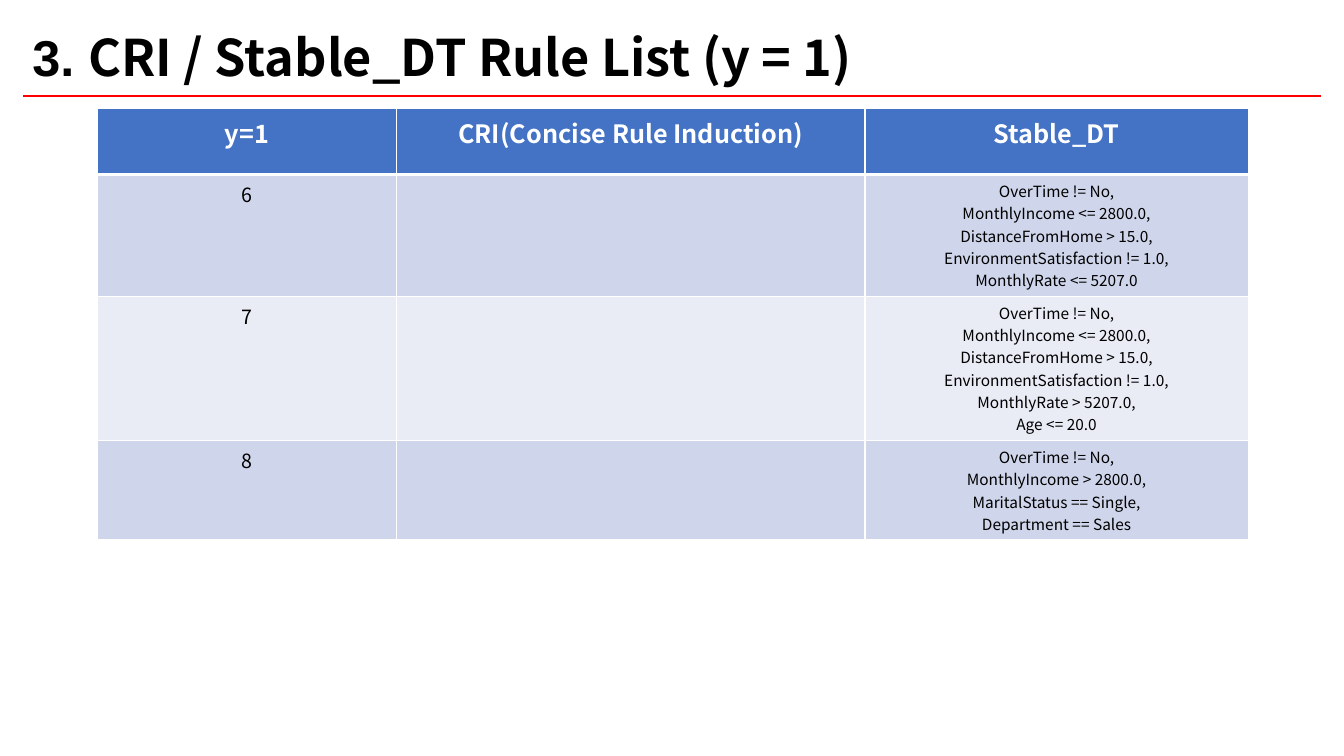
from lxml import etree
from pptx import Presentation
from pptx.dml.color import RGBColor
from pptx.enum.text import MSO_ANCHOR, PP_ALIGN
from pptx.oxml.ns import qn
from pptx.util import Inches, Pt

CENTER = PP_ALIGN.CENTER
MIDDLE = MSO_ANCHOR.MIDDLE
BLANK_LAYOUT = 6
BODY_FONT = "Noto Sans CJK KR"
NUMBER_FONT = "Arial"
COLORS = {
    "black": "000000",
    "white": "FFFFFF",
    "red": "FF0000",
    "header": "4472C4",
    "odd_row": "CFD5EA",
    "even_row": "E9EBF5",
}
TITLE_PARTS = [
    ("3. ", NUMBER_FONT),
    ("CRI / Stable_DT Rule List (y = 1)", BODY_FONT),
]
HEADERS = ["y=1", "CRI(Concise Rule Induction)", "Stable_DT"]
LOW_INCOME_RULE = [
    "OverTime != No,",
    "MonthlyIncome <= 2800.0,",
    "DistanceFromHome > 15.0,",
    "EnvironmentSatisfaction != 1.0,",
]
STABLE_RULES = {
    "6": LOW_INCOME_RULE + ["MonthlyRate <= 5207.0"],
    "7": LOW_INCOME_RULE + ["MonthlyRate > 5207.0,", "Age <= 20.0"],
    "8": [
        "OverTime != No,",
        "MonthlyIncome > 2800.0,",
        "MaritalStatus == Single,",
        "Department == Sales",
    ],
}


def style_run(run, size, color, bold=False, font=BODY_FONT):
    run.font.name = font
    run.font.size = Pt(size)
    run.font.bold = bold
    run.font.color.rgb = RGBColor.from_string(COLORS[color])


def set_borders(cell, borders):
    properties = cell._tc.get_or_add_tcPr()
    for side in "LRTB":
        if side in borders:
            color, width = borders[side]
            line = etree.SubElement(properties, qn(f"a:ln{side}"), w=str(Pt(width)))
            fill = etree.SubElement(line, qn("a:solidFill"))
            etree.SubElement(fill, qn("a:srgbClr"), val=COLORS[color])


def add_table(slide, left, top, column_widths, row_heights):
    frame = slide.shapes.add_table(
        len(row_heights), len(column_widths), Inches(left), Inches(top),
        Inches(sum(column_widths)), Inches(sum(row_heights)))
    table = frame.table
    for column, width in zip(table.columns, column_widths):
        column.width = Inches(width)
    for row, height in zip(table.rows, row_heights):
        row.height = Inches(height)
    return table


def add_title(slide):
    table = add_table(slide, 0.22, 0.13, [12.89], [0.82])
    table.first_row = False
    table.horz_banding = False
    cell = table.cell(0, 0)
    set_borders(cell, {"B": ("red", 2.25)})
    cell.fill.background()
    cell.vertical_anchor = MIDDLE
    paragraph = cell.text_frame.paragraphs[0]
    for text, font in TITLE_PARTS:
        run = paragraph.add_run()
        run.text = text
        style_run(run, 36, "black", True, font)


def fill_cell(cell, text, fill, size, color="black", bold=False, bottom_width=1):
    borders = dict.fromkeys("LRT", ("white", 1))
    borders["B"] = ("white", bottom_width)
    set_borders(cell, borders)
    cell.fill.solid()
    cell.fill.fore_color.rgb = RGBColor.from_string(COLORS[fill])
    cell.text_frame.text = text
    for paragraph in cell.text_frame.paragraphs:
        paragraph.alignment = CENTER
        for run in paragraph.runs:
            style_run(run, size, color, bold)


def add_rule_table(slide):
    row_heights = [0.65] * (len(STABLE_RULES) + 1)
    table = add_table(slide, 0.97, 1.08, [2.96, 4.65, 3.8], row_heights)
    for column, header in enumerate(HEADERS):
        fill_cell(table.cell(0, column), header, "header", 18, "white", True, 3)
    for row, (number, conditions) in enumerate(STABLE_RULES.items(), 1):
        fill = "odd_row" if row % 2 else "even_row"
        fill_cell(table.cell(row, 0), number, fill, 14)
        fill_cell(table.cell(row, 1), "", fill, 14)
        fill_cell(table.cell(row, 2), "\n".join(conditions), fill, 11)


def main():
    presentation = Presentation()
    presentation.slide_width = Inches(13.33)
    presentation.slide_height = Inches(7.5)
    slide = presentation.slides.add_slide(presentation.slide_layouts[BLANK_LAYOUT])
    add_title(slide)
    add_rule_table(slide)
    presentation.save("out.pptx")


main()
